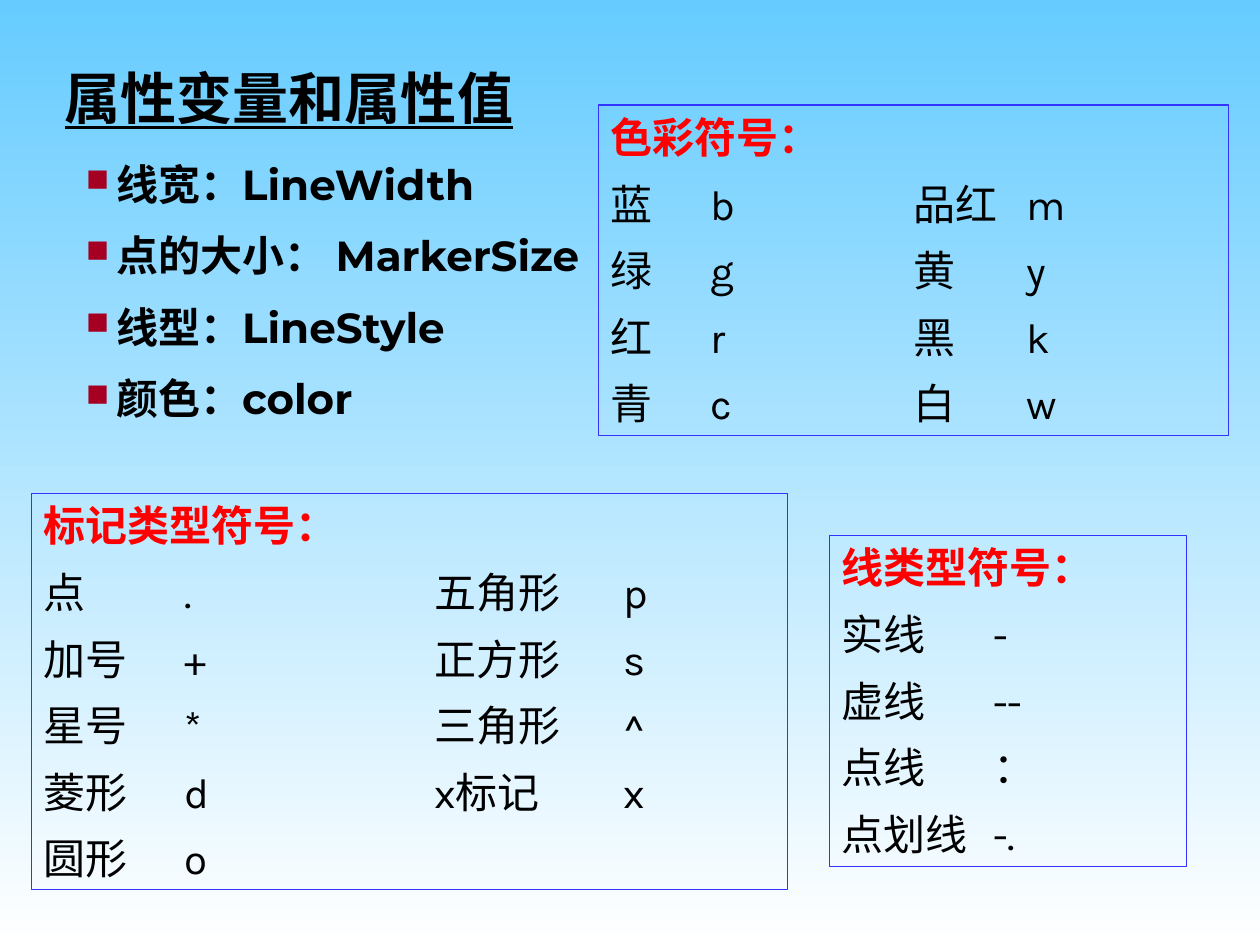
from lxml import etree
from pptx import Presentation
from pptx.dml.color import RGBColor
from pptx.enum.shapes import MSO_SHAPE
from pptx.enum.text import MSO_ANCHOR, PP_ALIGN
from pptx.oxml.ns import qn
from pptx.util import Inches, Pt

RECTANGLE = MSO_SHAPE.RECTANGLE
TOP, BOTTOM = MSO_ANCHOR.TOP, MSO_ANCHOR.BOTTOM
LEFT, JUSTIFY = PP_ALIGN.LEFT, PP_ALIGN.JUSTIFY
COLORS = {"sky": "66CCFF", "white": "FFFFFF", "ink": "000000",
          "heading": "FF0000", "border": "3333FF", "bullet": "A50021"}

deck = Presentation()
deck.slide_width, deck.slide_height = Inches(10), Inches(7.5)
column, row = deck.slide_width / 120, deck.slide_height / 90
page = deck.slides.add_slide(deck.slide_layouts[6])

backdrop = page.background.fill
backdrop.gradient()
backdrop.gradient_angle = 270
for stop, name in zip(backdrop.gradient_stops, ("sky", "white")):
    stop.color.rgb = RGBColor.from_string(COLORS[name])


def add_box(left, top, width, height, anchor=TOP):
    box = page.shapes.add_shape(RECTANGLE, round(left * column), round(top * row),
                                round(width * column), round(height * row))
    box.shadow.inherit = False
    box.fill.background()
    box.line.fill.background()
    box.text_frame.word_wrap = True
    box.text_frame.vertical_anchor = anchor
    return box


def add_line(box, index, text, color, font, layout):
    frame = box.text_frame
    para = frame.add_paragraph() if index else frame.paragraphs[0]
    for key, value in layout.items():
        setattr(para, key, value)
    span = para.add_run()
    span.text = text
    span.font.color.rgb = RGBColor.from_string(COLORS[color])
    for key, value in font.items():
        setattr(span.font, key, value)
    return para._p.get_or_add_pPr()


title_font = {"name": "Montserrat", "size": Pt(32), "bold": True, "underline": True}
list_font = {"name": "Montserrat", "size": Pt(24), "bold": True}
heading_font = {"name": "Karla", "size": Pt(24), "bold": True}
entry_font = {"name": "Karla", "size": Pt(24), "bold": False}
heading_layout = {"alignment": LEFT, "space_before": Pt(15)}
entry_layout = {"alignment": LEFT, "space_before": Pt(15), "line_spacing": 0.8}
list_layout = {"alignment": JUSTIFY, "space_before": Pt(15), "line_spacing": 0.9}

title = add_box(5, 3, 98, 10, BOTTOM)
add_line(title, 0, "属性变量和属性值", "ink", title_font, {"alignment": LEFT})

properties = add_box(7, 15, 89, 26)
for index, text in enumerate(["线宽：LineWidth", "点的大小： MarkerSize",
                              "线型：LineStyle", "颜色：color"]):
    props = add_line(properties, index, text, "ink", list_font, list_layout)
    props.set("marL", str(Inches(0.24)))
    props.set("indent", str(-Inches(0.24)))
    bullet_color = etree.SubElement(props, qn("a:buClr"))
    etree.SubElement(bullet_color, qn("a:srgbClr"), val=COLORS["bullet"])
    etree.SubElement(props, qn("a:buSzPct"), val="75000")
    etree.SubElement(props, qn("a:buChar"), char="■")

panels = [
    ((57, 10, 60, 31.5), "色彩符号：", (0.79, 2.4, 3.3),
     [("蓝", "b", "品红", "m"), ("绿", "g", "黄", "y"),
      ("红", "r", "黑", "k"), ("青", "c", "白", "w")]),
    ((3, 47, 72, 37.7), "标记类型符号：", (1.12, 3.1, 4.6),
     [("点", ".", "五角形", "p"), ("加号", "+", "正方形", "s"),
      ("星号", "*", "三角形", "^"), ("菱形", "d", "x标记", "x"), ("圆形", "o")]),
    ((79, 51, 34, 31.5), "线类型符号：", (1.2,),
     [("实线", "-"), ("虚线", "--"), ("点线", "："), ("点划线", "-.")]),
]
for place, heading, stops, entries in panels:
    panel = add_box(*place)
    panel.line.color.rgb = RGBColor.from_string(COLORS["border"])
    panel.line.width = Pt(0.75)
    add_line(panel, 0, heading, "heading", heading_font, heading_layout)
    for index, entry in enumerate(entries, 1):
        props = add_line(panel, index, "\t".join(entry), "ink", entry_font, entry_layout)
        tabs = etree.SubElement(props, qn("a:tabLst"))
        for position in stops:
            etree.SubElement(tabs, qn("a:tab"), pos=str(Inches(position)), algn="l")

deck.save("out.pptx")
